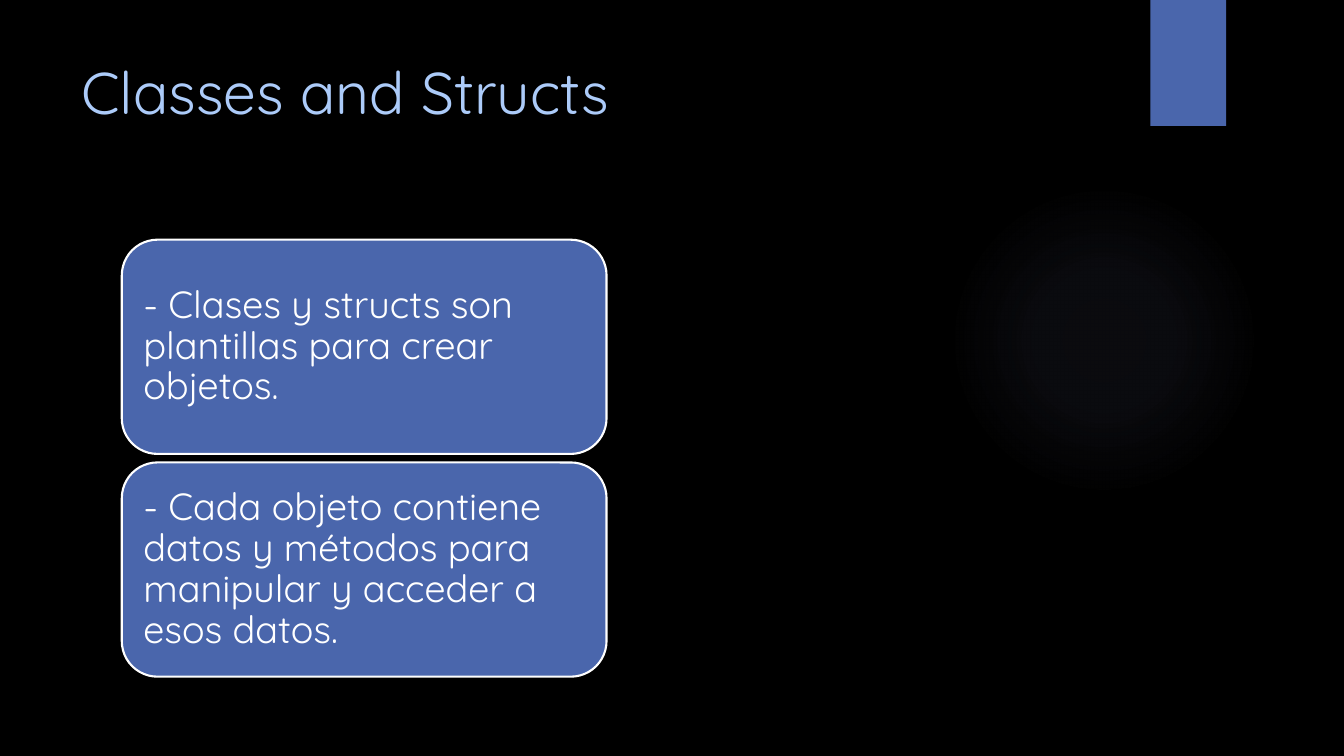
"""Builds the slide "Classes and Structs" with two stacked text cards."""
from dataclasses import dataclass

from pptx import Presentation
from pptx.dml.color import RGBColor
from pptx.enum.shapes import MSO_SHAPE
from pptx.enum.text import MSO_ANCHOR, MSO_AUTO_SIZE, PP_ALIGN
from pptx.oxml import parse_xml
from pptx.oxml.ns import nsdecls, qn
from pptx.shapes.autoshape import Shape
from pptx.slide import Slide
from pptx.text.text import TextFrame
from pptx.util import Pt


@dataclass(frozen=True)
class Theme:
    font: str = "Quicksand"
    back: str = "000000"
    blue: str = "4A66AC"
    pale: str = "ACCBF9"
    white: str = "FFFFFF"
    glow: str = "9297CF"
    head: float = 42
    body: float = 27


@dataclass(frozen=True)
class Box:
    left: float
    top: float
    width: float
    height: float


THEME = Theme()
HEAD = Box(51, 36, 741, 110)
GLOW = Box(677.5, 131.75, 222, 222)
TAB = Box(821.75, 0, 54, 90)
CARD = Box(87, 171.25, 346.25, 153)
PITCH = 159.1
STOPS = ((0, 7), (36, 6), (69, 0))
NOTES = (
    "- Clases y structs son plantillas para crear objetos.",
    "- Cada objeto contiene datos y métodos para manipular y acceder a esos datos.",
)


def tint(code: str) -> RGBColor:
    return RGBColor.from_string(code)


def draw(slide: Slide, kind: MSO_SHAPE, box: Box) -> Shape:
    shape = slide.shapes.add_shape(
        kind, Pt(box.left), Pt(box.top), Pt(box.width), Pt(box.height))
    shape.shadow.inherit = False
    shape.fill.solid()
    shape.fill.fore_color.rgb = tint(THEME.blue)
    shape.line.fill.background()
    return shape


def write(frame: TextFrame, text: str, size: float, code: str, lead: float) -> None:
    frame.word_wrap = True
    frame.auto_size = MSO_AUTO_SIZE.NONE
    line = frame.paragraphs[0]
    line.alignment = PP_ALIGN.LEFT
    line.line_spacing = lead
    run = line.add_run()
    run.text = text
    run.font.name = THEME.font
    run.font.size = Pt(size)
    run.font.color.rgb = tint(code)


def add_glow(slide: Slide) -> None:
    shape = draw(slide, MSO_SHAPE.OVAL, GLOW)
    stops = "".join(
        f'<a:gs pos="{spot * 1000}"><a:srgbClr val="{THEME.glow}">'
        f'<a:alpha val="{alpha * 1000}"/></a:srgbClr></a:gs>'
        for spot, alpha in STOPS)
    fade = parse_xml(
        f'<a:gradFill {nsdecls("a")}><a:gsLst>{stops}</a:gsLst>'
        '<a:path path="circle"><a:fillToRect l="50000" t="50000" r="50000" b="50000"/>'
        '</a:path></a:gradFill>')
    props = shape.element.spPr
    props.replace(props.find(qn("a:solidFill")), fade)


def add_head(slide: Slide) -> None:
    title = slide.shapes.title
    title.left, title.top = Pt(HEAD.left), Pt(HEAD.top)
    title.width, title.height = Pt(HEAD.width), Pt(HEAD.height)
    title.text_frame.vertical_anchor = MSO_ANCHOR.TOP
    write(title.text_frame, "Classes and Structs", THEME.head, THEME.pale, 1.0)


def add_card(slide: Slide, row: int, text: str) -> None:
    box = Box(CARD.left, CARD.top + row * PITCH, CARD.width, CARD.height)
    card = draw(slide, MSO_SHAPE.ROUNDED_RECTANGLE, box)
    card.line.color.rgb = tint(THEME.white)
    card.line.width = Pt(1.5)
    frame = card.text_frame
    frame.margin_left = frame.margin_right = Pt(8)
    frame.margin_top = frame.margin_bottom = Pt(8)
    frame.vertical_anchor = MSO_ANCHOR.MIDDLE
    write(frame, text, THEME.body, THEME.white, 0.9)


def main() -> None:
    deck = Presentation()
    deck.slide_width, deck.slide_height = Pt(960), Pt(540)
    slide = deck.slides.add_slide(deck.slide_layouts[5])
    slide.background.fill.solid()
    slide.background.fill.fore_color.rgb = tint(THEME.back)
    add_glow(slide)
    draw(slide, MSO_SHAPE.RECTANGLE, TAB)
    add_head(slide)
    for row, text in enumerate(NOTES):
        add_card(slide, row, text)
    deck.save("out.pptx")


if __name__ == "__main__":
    main()
